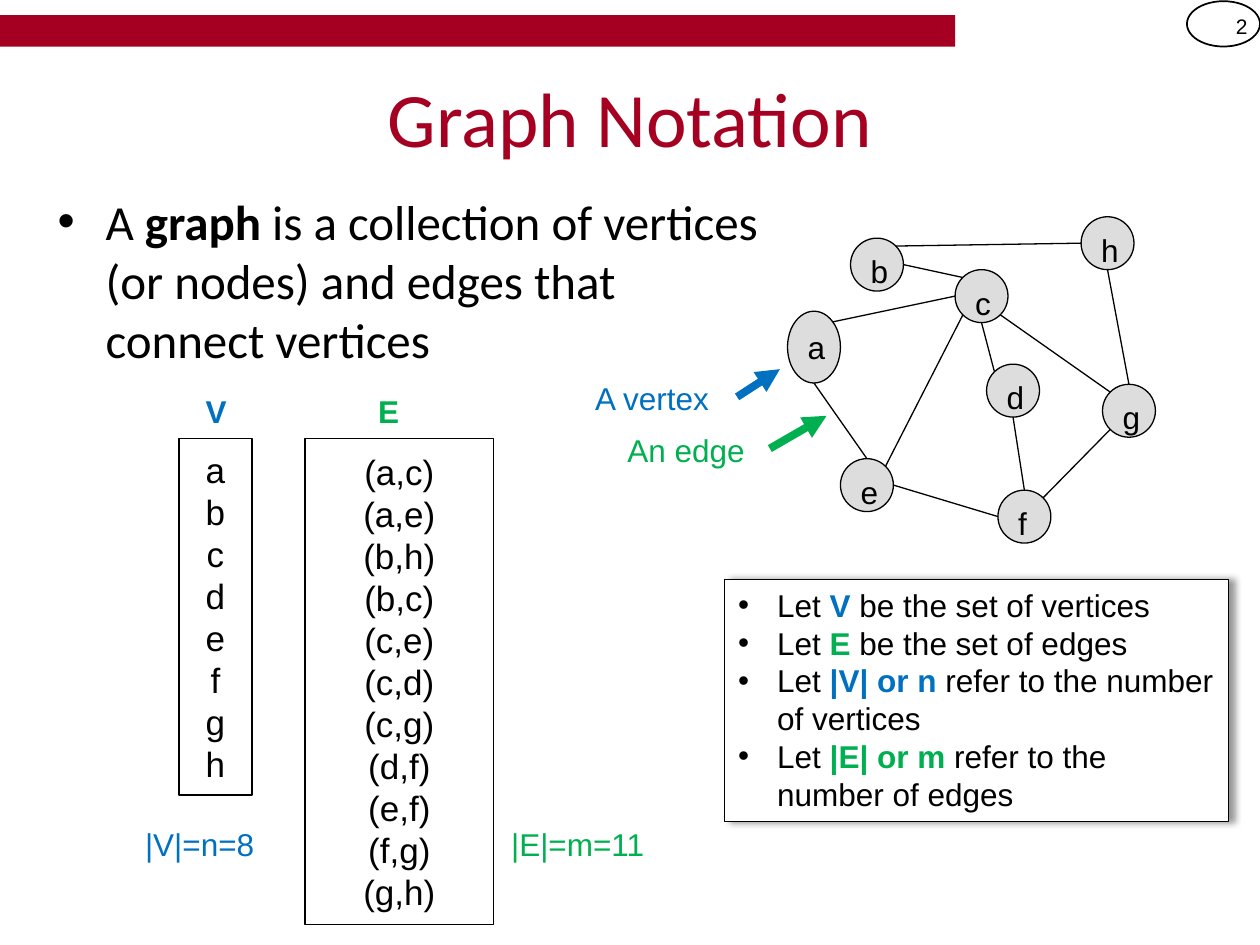
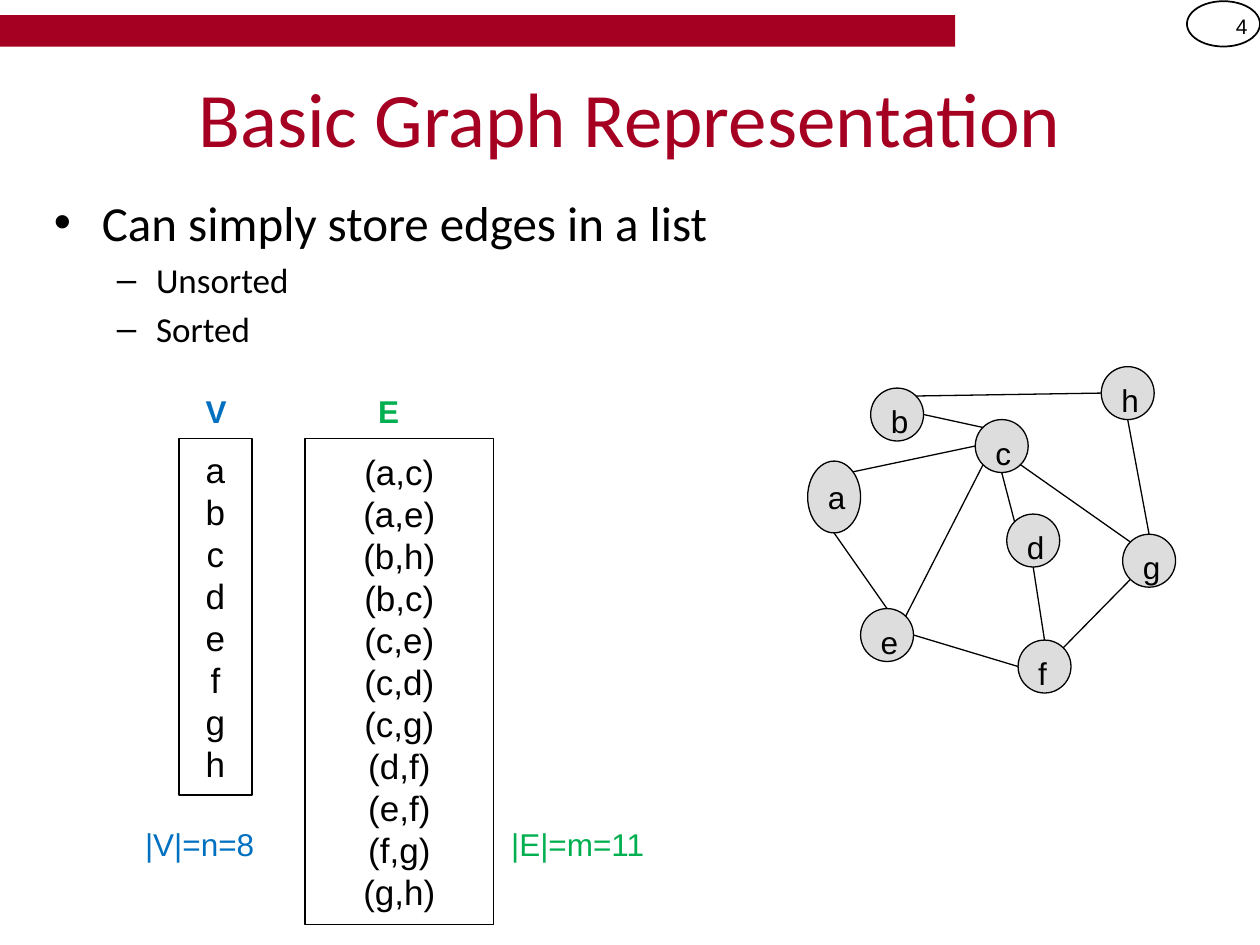
from lxml import etree
from pptx import Presentation
from pptx.dml.color import RGBColor
from pptx.enum import shapes, text
from pptx.oxml import parse_xml
from pptx.oxml.ns import nsdecls, qn
from pptx.util import Inches, Pt

CRIMSON = RGBColor(0xA5, 0x00, 0x21)
BLACK = RGBColor(0x00, 0x00, 0x00)
WHITE = RGBColor(0xFF, 0xFF, 0xFF)
GREY = RGBColor(0xDD, 0xDD, 0xDD)
BLUE = RGBColor(0x00, 0x70, 0xC0)
GREEN = RGBColor(0x00, 0xB0, 0x50)

LEFT, CENTER, RIGHT = text.PP_ALIGN.LEFT, text.PP_ALIGN.CENTER, text.PP_ALIGN.RIGHT
TOP, MIDDLE = text.MSO_ANCHOR.TOP, text.MSO_ANCHOR.MIDDLE
RECTANGLE, OVAL = shapes.MSO_SHAPE.RECTANGLE, shapes.MSO_SHAPE.OVAL

MAIN_BULLET = ("•", 0.38, -0.38, 28)
SUB_BULLET = ("–", 0.81, -0.31, 20)
NOTE_BULLET = ("•", 0.32, -0.31, 18)

SLIDES = [
    {
        "number": "2",
        "title": "Graph Notation",
        "body_area": (0.36, 1.47, 5.83, 2.58),
        "body": [
            (MAIN_BULLET, [
                ("A ", None),
                ("graph", BLACK),
                (" is a collection of vertices (or nodes) and edges that connect vertices", None),
            ]),
        ],
        "graph_origin": (6.25, 1.72),
    },
    {
        "number": "4",
        "title": "Basic Graph Representation",
        "body_area": (0.33, 1.48, 6.21, 2.27),
        "body": [
            (MAIN_BULLET, [("Can simply store edges in a list", None)]),
            (SUB_BULLET, [("Unsorted", None)]),
            (SUB_BULLET, [("Sorted", None)]),
        ],
        "graph_origin": (6.41, 2.91),
    },
]

NODE_SIZE = 0.42
TALL_NODES = {"a": 0.57}
NODES = {
    "a": (0, 0.75), "b": (0.5, 0.17), "c": (1.33, 0.42), "d": (1.58, 1.17),
    "e": (0.42, 1.92), "f": (1.67, 2.17), "g": (2.5, 1.33), "h": (2.33, 0),
}
SITES = {
    "N": (0.5, 0), "S": (0.5, 1), "W": (0, 0.5), "E": (1, 0.5),
    "NW": (0.15, 0.15), "NE": (0.85, 0.15), "SW": (0.15, 0.85), "SE": (0.85, 0.85),
}
EDGES = [
    ("a", "NE", "c", "W"), ("a", "S", "e", "N"), ("b", "NE", "h", "W"),
    ("b", "E", "c", "NW"), ("c", "SW", "e", "NE"), ("c", "S", "d", "NW"),
    ("c", "SE", "g", "NW"), ("d", "S", "f", "N"), ("e", "E", "f", "W"),
    ("f", "NE", "g", "SW"), ("h", "S", "g", "N"),
]

SET_BOXES = [
    ((1.42, 3.48, 0.58, 2.83), list(NODES)),
    ((2.42, 3.48, 1.5, 3.86), [f"({','.join(sorted((start, end)))})" for start, _, end, _ in EDGES]),
]
SET_LABELS = [
    ("V", (1.25, 3.06, 0.93, 0.39), BLUE, True),
    ("E", (2.62, 3.06, 0.93, 0.39), GREEN, True),
    ("|V|=n=8", (1, 6.5, 1.17, 0.39), BLUE, False),
    ("|E|=m=11", (3.92, 6.5, 1.33, 0.39), GREEN, False),
]
CALLOUTS = [
    ("An edge", (4.78, 3.37, 1.33, 0.39), GREEN, (6.11, 3.56), (6.56, 3.3)),
    ("A vertex", (4.51, 2.96, 1.33, 0.39), BLUE, (5.85, 3.15), (6.19, 2.93)),
]
NOTES_AREA = (5.75, 4.6, 4, 1.92)
NOTES = [
    ("V ", BLUE, "be the set of vertices"),
    ("E ", GREEN, "be the set of edges"),
    ("|V| or n ", BLUE, "refer to the number of vertices"),
    ("|E| or m ", GREEN, "refer to the number of edges"),
]


def add_box(page, area, kind=None, fill=None, line_width=None):
    area = [Inches(length) for length in area]
    if kind is None:
        return page.shapes.add_textbox(*area)
    box = page.shapes.add_shape(kind, *area)
    box.shadow.inherit = False
    if fill is None:
        box.fill.background()
    else:
        box.fill.solid()
        box.fill.fore_color.rgb = fill
    if line_width is None:
        box.line.fill.background()
    else:
        box.line.color.rgb = BLACK
        box.line.width = Pt(line_width)
    return box


def add_bullet(para, symbol, margin, indent):
    properties = para._p.get_or_add_pPr()
    properties.set("marL", str(Inches(margin)))
    properties.set("indent", str(Inches(indent)))
    etree.SubElement(properties, qn("a:buFont")).set("typeface", "Arial")
    etree.SubElement(properties, qn("a:buChar")).set("char", symbol)


def style(para, size, color=BLACK, bold=False, font="Arial", align=LEFT):
    para.alignment = align
    para.font.name = font
    para.font.size = Pt(size)
    para.font.bold = bold
    para.font.color.rgb = color
    if font == "Arial":
        para.line_spacing = Pt(size * 1.2)


def write_lines(box, lines, size, anchor=TOP, wrap=True, **look):
    frame = box.text_frame
    frame.word_wrap = wrap
    frame.vertical_anchor = anchor
    frame.text = "\n".join(lines)
    for para in frame.paragraphs:
        style(para, size, **look)


def write_bullets(box, items, font, gap=0):
    frame = box.text_frame
    frame.word_wrap = True
    frame.vertical_anchor = TOP
    for index, ((symbol, margin, indent, size), spans) in enumerate(items):
        para = frame.add_paragraph() if index else frame.paragraphs[0]
        add_bullet(para, symbol, margin, indent)
        style(para, size, font=font)
        if index and gap:
            para.space_before = Pt(size * gap)
        for words, emphasis in spans:
            span = para.add_run()
            span.text = words
            if emphasis is not None:
                span.font.bold = True
                span.font.color.rgb = emphasis


def add_line(page, start, end, color=BLACK, width=0.75, arrow=False):
    ends = [Inches(length) for length in (*start, *end)]
    line = page.shapes.add_connector(shapes.MSO_CONNECTOR.STRAIGHT, *ends)
    line.line.color.rgb = color
    line.line.width = Pt(width)
    if arrow:
        etree.SubElement(line.line._get_or_add_ln(), qn("a:tailEnd")).set("type", "triangle")
    etree.SubElement(line._element.spPr, qn("a:effectLst"))


def add_frame(page, number, title):
    add_box(page, (0, 0.12, 7.58, 0.25), RECTANGLE, CRIMSON)
    add_box(page, (9.42, 0.01, 0.58, 0.36), OVAL, line_width=1)
    write_lines(add_box(page, (9.42, 0.01, 0.58, 0.4)), [number], 12, MIDDLE, align=RIGHT)
    write_lines(add_box(page, (0.5, 0.3, 9, 1.25)), [title], 44, MIDDLE,
                color=CRIMSON, font="Calibri", align=CENTER)


def add_graph(page, origin):
    areas = {}
    for name, (x, y) in NODES.items():
        areas[name] = (origin[0] + x, origin[1] + y, NODE_SIZE, TALL_NODES.get(name, NODE_SIZE))
        write_lines(add_box(page, areas[name], OVAL, GREY, 0.75), [name], 18, wrap=False)

    def site_point(name, site):
        left, top, width, height = areas[name]
        across, down = SITES[site]
        return left + across * width, top + down * height

    for start, start_site, end, end_site in EDGES:
        add_line(page, site_point(start, start_site), site_point(end, end_site))


def add_sets(page):
    for area, members in SET_BOXES:
        write_lines(add_box(page, area, RECTANGLE, line_width=0.75), members, 20, MIDDLE, align=CENTER)
    for label, area, color, bold in SET_LABELS:
        write_lines(add_box(page, area), [label], 18, color=color, bold=bold, align=CENTER)


def add_notes_box(page):
    box = add_box(page, NOTES_AREA, RECTANGLE, WHITE, 0.75)
    effects = box._element.spPr.find(qn("a:effectLst"))
    effects.append(parse_xml(
        f'<a:outerShdw {nsdecls("a")} blurRad="{Pt(4)}" dist="{Pt(3)}" dir="0" algn="l" rotWithShape="0">'
        '<a:srgbClr val="000000"><a:alpha val="40000"/></a:srgbClr></a:outerShdw>'))
    items = [(NOTE_BULLET, [("Let ", None), (term, color), (meaning, None)])
             for term, color, meaning in NOTES]
    write_bullets(box, items, "Arial")


def add_callouts(page):
    for label, area, color, start, end in CALLOUTS:
        write_lines(add_box(page, area), [label], 18, color=color, align=CENTER)
        add_line(page, start, end, color, 4.5, arrow=True)


def main():
    deck = Presentation()
    deck.slide_width, deck.slide_height = Inches(10), Inches(7.5)
    pages = []
    for content in SLIDES:
        page = deck.slides.add_slide(deck.slide_layouts[6])
        add_frame(page, content["number"], content["title"])
        write_bullets(add_box(page, content["body_area"]), content["body"], "Calibri", gap=0.2)
        add_graph(page, content["graph_origin"])
        add_sets(page)
        pages.append(page)
    add_notes_box(pages[0])
    add_callouts(pages[0])
    deck.save("out.pptx")


if __name__ == "__main__":
    main()
